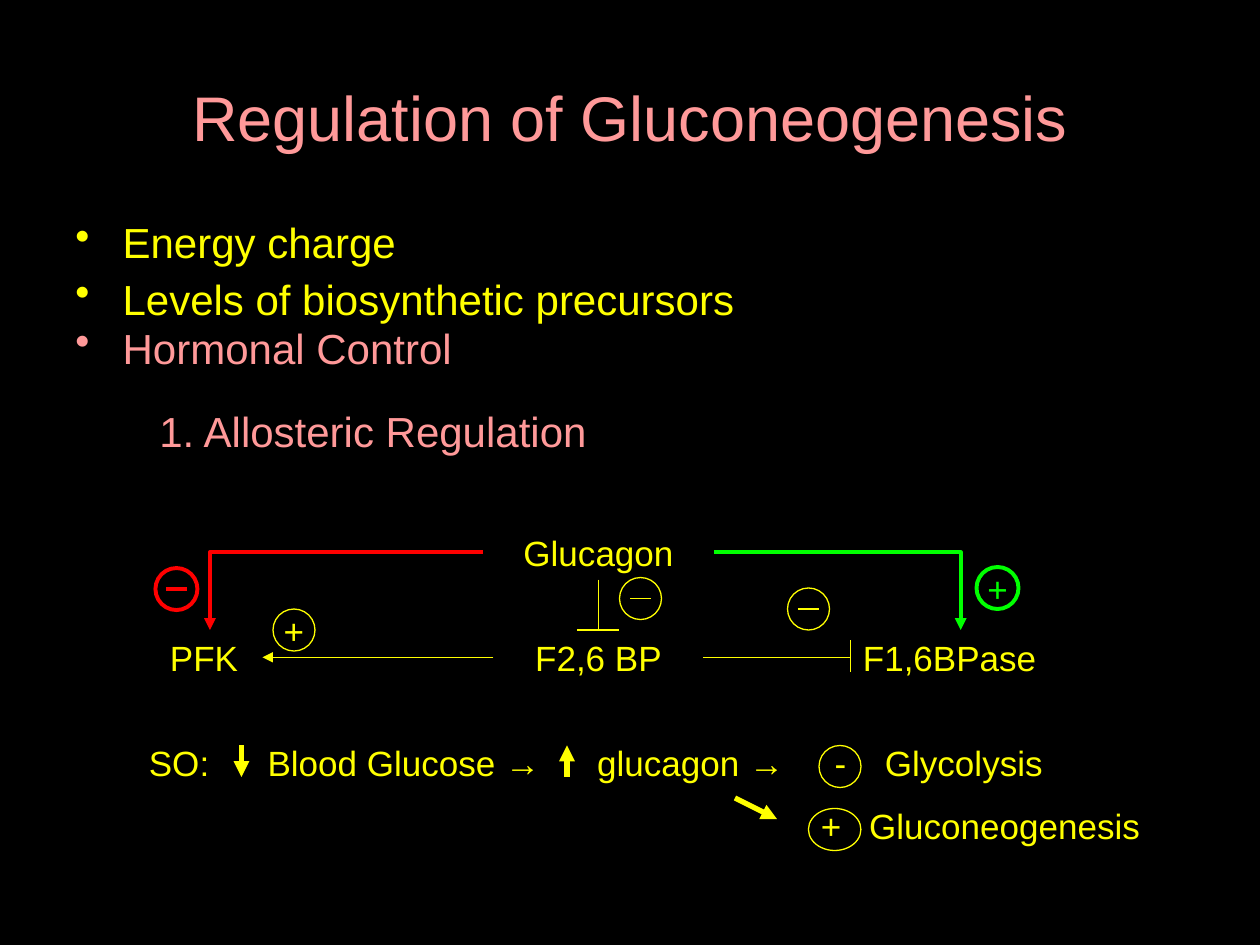
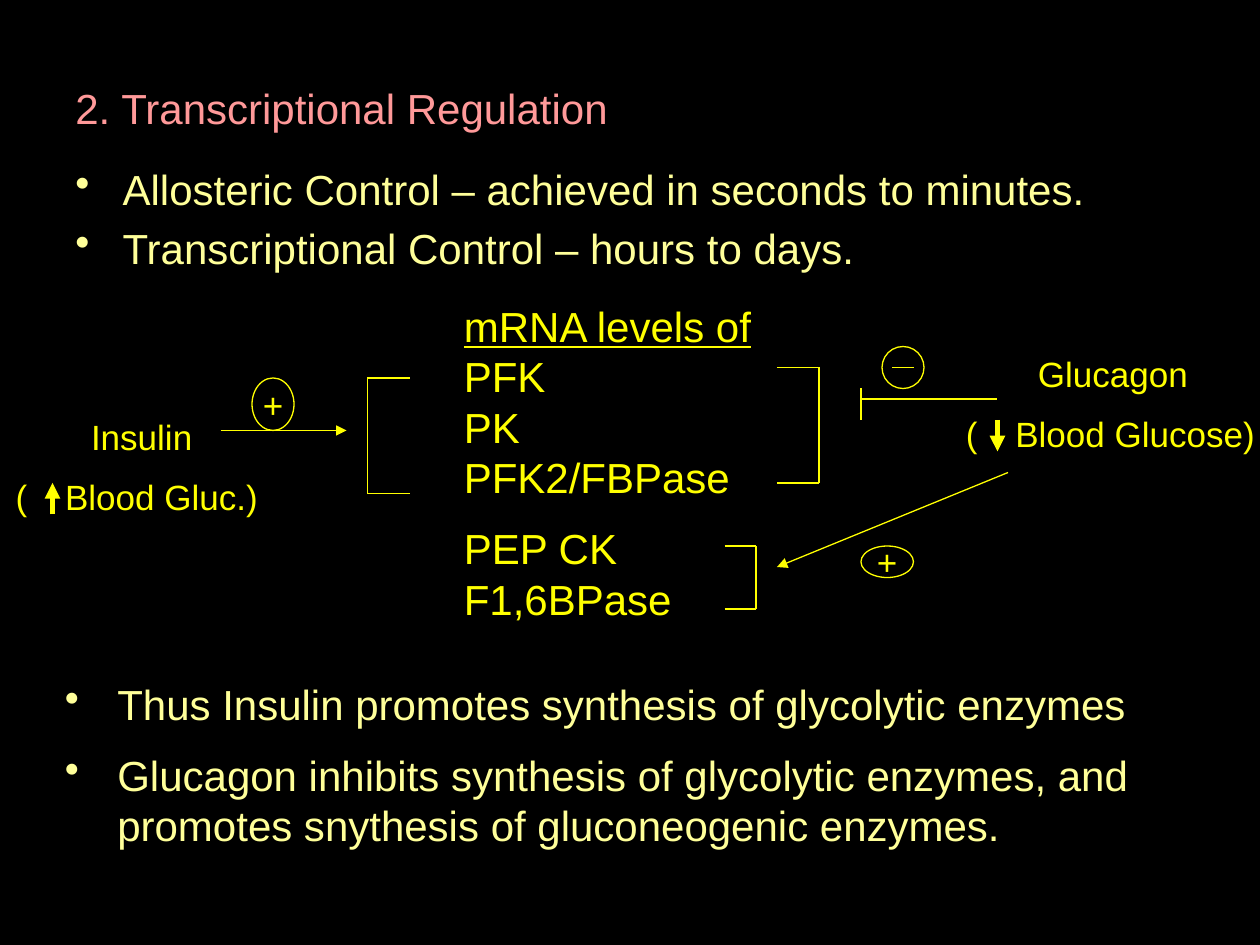
import pptx
import pptx.dml.color
import pptx.enum.shapes
import pptx.enum.text
import pptx.oxml
import pptx.oxml.ns
import pptx.util

COLS, ROWS = 120, 90
UNIT = pptx.util.Inches(10) / COLS
FONT = "Arial"
BLACK, YELLOW, PALE, PINK = "000000", "FFFF00", "FFFF99", "FF9999"
RED, GREEN = "FF0000", "00FF00"
THIN, MEDIUM, THICK = 0.75, 2.25, 3
LABEL_H = 5.2
CENTER = pptx.enum.text.PP_ALIGN.CENTER
MIDDLE = pptx.enum.text.MSO_ANCHOR.MIDDLE
STRAIGHT = pptx.enum.shapes.MSO_CONNECTOR.STRAIGHT
ELBOW = pptx.enum.shapes.MSO_CONNECTOR.ELBOW
OVAL = pptx.enum.shapes.MSO_SHAPE.OVAL


def rgb(color):
    """Turn a hex string into a colour."""
    return pptx.dml.color.RGBColor.from_string(color)


def grid(*values):
    """Turn grid units into lengths."""
    return [pptx.util.Emu(round(v * UNIT)) for v in values]


def set_all(obj, formats):
    """Set the attributes of an object from a dict."""
    for name, value in formats.items():
        setattr(obj, name, value)


def add_xml(parent, tag, **attrs):
    """Append a drawing element with attributes."""
    el = pptx.oxml.parse_xml(f"<a:{tag} {pptx.oxml.ns.nsdecls('a')}/>")
    for name, value in attrs.items():
        el.set(name, str(value))
    parent.append(el)
    return el


def write(p, text, size=24, color=YELLOW, before=None, align=None, spacing=None,
          underline=None, hang=None, tabs=()):
    """Fill and format one paragraph, with tab stops and hanging bullet in grid units."""
    p.text = text
    before = size / 2 if before is None else before
    set_all(p, {"space_before": pptx.util.Pt(before), "alignment": align, "line_spacing": spacing})
    for r in p.runs:
        set_all(r.font, {"name": FONT, "size": pptx.util.Pt(size), "underline": underline})
        r.font.color.rgb = rgb(color)
    ppr = p._p.get_or_add_pPr()
    if hang:
        ppr.set("marL", str(grid(hang)[0]))
        ppr.set("indent", str(-grid(hang)[0]))
        add_xml(ppr, "buChar", char="•")
    if tabs:
        stops = add_xml(ppr, "tabLst")
        for pos in tabs:
            add_xml(stops, "tab", pos=grid(pos)[0], algn="l")


def add_text(s, box, paragraphs, anchor=None, inset=None, **shared):
    """Add a text box whose paragraphs are (text, formats) pairs."""
    sp = s.shapes.add_textbox(*grid(*box))
    tf = sp.text_frame
    set_all(tf, {"word_wrap": True, "vertical_anchor": anchor})
    if inset is not None:
        set_all(tf, {"margin_left": inset, "margin_right": inset})
    for i, (text, formats) in enumerate(paragraphs):
        p = tf.add_paragraph() if i else tf.paragraphs[0]
        write(p, text, **{**shared, **formats})
    return sp


def add_line(s, x1, y1, x2, y2, color=YELLOW, width=THIN, arrow=False, kind=STRAIGHT):
    """Add a connector; an elbow runs sideways first and then down."""
    c = s.shapes.add_connector(kind, *grid(x1, y1, x2, y2))
    c.line.color.rgb = rgb(color)
    c.line.width = pptx.util.Pt(width)
    if arrow:
        add_xml(c.line._get_or_add_ln(), "tailEnd", type="triangle")
    if kind == ELBOW:
        c._element.spPr.prstGeom.set("prst", "bentConnector2")
    add_xml(c._element.spPr, "effectLst")
    return c


def add_badge(s, x, y, sign="", w=4, h=4, color=YELLOW, width=THIN):
    """Add a ringed plus, a ringed minus or an empty ring."""
    if sign == "–":
        add_line(s, x + 1, y + h / 2, x + w - 1, y + h / 2, color, width)
    sp = s.shapes.add_shape(OVAL, *grid(x, y, w, h))
    sp.shadow.inherit = False
    sp.fill.background()
    sp.line.color.rgb = rgb(color)
    sp.line.width = pptx.util.Pt(width)
    if sign == "+":
        tf = sp.text_frame
        set_all(tf, {"word_wrap": False, "vertical_anchor": MIDDLE, "margin_left": 0,
                     "margin_right": 0, "margin_top": 0, "margin_bottom": 0})
        write(tf.paragraphs[0], sign, size=20, color=color, before=0, align=CENTER)


def add_bracket(s, tip, spine, top, bottom):
    """Add a square bracket from its tips to its spine."""
    for ends in ((tip, top, spine, top), (tip, bottom, spine, bottom), (spine, top, spine, bottom)):
        add_line(s, *ends)


def allosteric_pathway(s, x, y):
    """Draw how glucagon steers PFK and F1,6BPase."""
    def label(text, dx, dy, w, align=None):
        return add_text(s, (x + dx, y + dy, w, LABEL_H), [(text, {})], size=20, align=align)

    glucagon = label("Glucagon", 31, 0, 22, CENTER)
    f26bp = label("F2,6 BP", 32, 10, 20, CENTER)
    f16bpase = label("F1,6BPase", 66, 10, 21)
    pfk = label("PFK", 0, 10, 10)
    for start, site, end, end_site, arrow in ((glucagon, 2, f26bp, 0, False),
                                              (f26bp, 3, f16bpase, 1, False),
                                              (f26bp, 1, pfk, 3, True)):
        c = add_line(s, x, y, x, y, arrow=arrow)
        c.begin_connect(start, site)
        c.end_connect(end, end_site)
    add_line(s, x + 40, y + 10, x + 44, y + 10)
    add_line(s, x + 66, y + 11, x + 66, y + 14)
    for start, end, color in ((53, 76.5, GREEN), (31, 5, RED)):
        add_line(s, x + start, y + 2.6, x + end, y + 10, color, MEDIUM, True, ELBOW)
    for dx, dy, sign, color, width in ((44, 5, "–", YELLOW, THIN), (60, 6, "–", YELLOW, THIN),
                                       (11, 8, "+", YELLOW, THIN), (78, 4, "+", GREEN, MEDIUM),
                                       (-0.2, 4.1, "–", RED, MEDIUM)):
        add_badge(s, x + dx, y + dy, sign, color=color, width=width)


def glucose_summary(s, x, y):
    """Write the chain from low blood glucose to both pathways."""
    add_text(s, (x, y, COLS - x, LABEL_H),
             [("SO:\tBlood Glucose →\tglucagon →\t-\tGlycolysis", {})],
             size=20, tabs=(11.3, 42.7, 65.3, 70.1))
    add_text(s, (x + 64, y + 6, 35, LABEL_H), [("+\tGluconeogenesis", {})], size=20, tabs=(4.6,))
    add_badge(s, x + 65, y + 1)
    add_badge(s, x + 64, y + 7, w=5)
    for x1, y1, x2, y2 in ((10, 1, 10, 4), (41, 4, 41, 1), (57, 6, 61, 8)):
        add_line(s, x + x1, y + y1, x + x2, y + y2, width=THICK, arrow=True)


def mrna_levels(s, x, y):
    """List the regulated mRNAs between their brackets."""
    add_text(s, (x, y, 30, 32), [("mRNA levels of", {"underline": True}),
                                 ("PFK\vPK\vPFK2/FBPase", {"before": 0}),
                                 ("PEP CK\vF1,6BPase", {})])
    for tip, spine, top, bottom in ((31, 35, 7, 18), (-4, -8, 8, 19), (26, 29, 24, 30)):
        add_bracket(s, x + tip, x + spine, y + top, y + bottom)


def hormone_label(s, box, name, effect):
    """Name a hormone over the blood glucose change, leaving room for its arrow."""
    add_text(s, box, [(name, {"align": CENTER}), (f"(\t{effect})", {"tabs": (4.7,)})],
             inset=0, size=20)


def insulin_effect(s, x, y):
    """Show insulin raising the glycolytic mRNAs."""
    add_line(s, x + 21, y + 5, x + 33, y + 5, arrow=True)
    add_badge(s, x + 24, y, "+", h=5)
    hormone_label(s, (x + 1.5, y + 3, 24, 11.2), "Insulin", "Blood Gluc.")
    add_line(s, x + 5, y + 13, x + 5, y + 10, width=THICK, arrow=True)


def glucagon_effect(s, x, y):
    """Show glucagon blocking one group of mRNAs and raising the other."""
    hormone_label(s, (x + 10, y, 28, 11.2), "Glucagon", "Blood Glucose")
    add_line(s, x + 13, y + 7, x + 13, y + 10, width=THICK, arrow=True)
    add_line(s, x, y + 4, x, y + 7)
    add_line(s, x, y + 5, x + 13, y + 5)
    add_badge(s, x + 2, y, "–")
    add_line(s, x + 14, y + 12, x - 8, y + 21, arrow=True)
    add_badge(s, x, y + 19, "+", w=5, h=3)


def new_slide(prs, title, box, **formats):
    """Add a black slide with its pink title."""
    s = prs.slides.add_slide(prs.slide_layouts[6])
    s.background.fill.solid()
    s.background.fill.fore_color.rgb = rgb(BLACK)
    add_text(s, box, [(title, {})], anchor=MIDDLE, color=PINK, before=0, **formats)
    return s


def allosteric_slide(prs):
    """Build the slide on allosteric regulation."""
    s = new_slide(prs, "Regulation of Gluconeogenesis", (6, 3.6, 108, 15), size=36, align=CENTER)
    add_text(s, (6, 21, 108, 16), [("Energy charge", {}),
                                   ("Levels of biosynthetic precursors", {"before": 9}),
                                   ("Hormonal Control", {"color": PINK})],
             before=5, spacing=0.8, hang=4.5)
    add_text(s, (14, 38, 52, 6), [("1. Allosteric Regulation", {})], color=PINK)
    allosteric_pathway(s, 15, 50)
    glucose_summary(s, 13, 70)


def transcriptional_slide(prs):
    """Build the slide on transcriptional regulation."""
    s = new_slide(prs, "2. Transcriptional Regulation", (6, 6, 57, 8.6))
    add_text(s, (6, 15, 108, 13),
             [("Allosteric Control – achieved in seconds to minutes.", {}),
              ("Transcriptional Control – hours to days.", {})], color=PALE, before=5, hang=4.5)
    mrna_levels(s, 43, 28)
    insulin_effect(s, 0, 36)
    glucagon_effect(s, 82, 33)
    add_text(s, (5, 64, 113, 18),
             [("Thus Insulin promotes synthesis of glycolytic enzymes", {}),
              ("Glucagon inhibits synthesis of glycolytic enzymes, and promotes snythesis of "
               "gluconeogenic enzymes.", {})], color=PALE, hang=5)


def main():
    """Build and save the presentation."""
    prs = pptx.Presentation()
    prs.slide_width, prs.slide_height = grid(COLS, ROWS)
    allosteric_slide(prs)
    transcriptional_slide(prs)
    prs.save("out.pptx")


if __name__ == "__main__":
    main()
